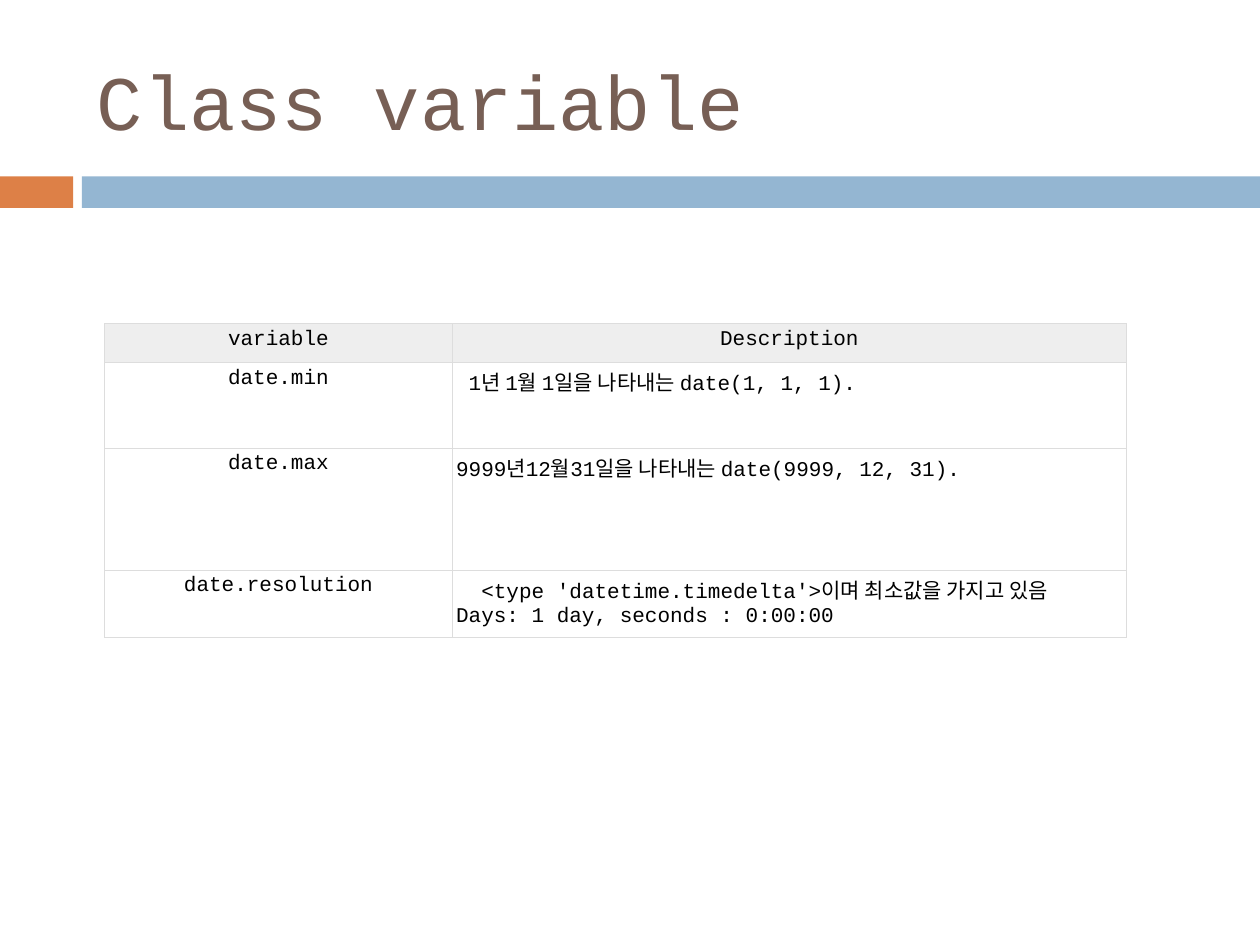
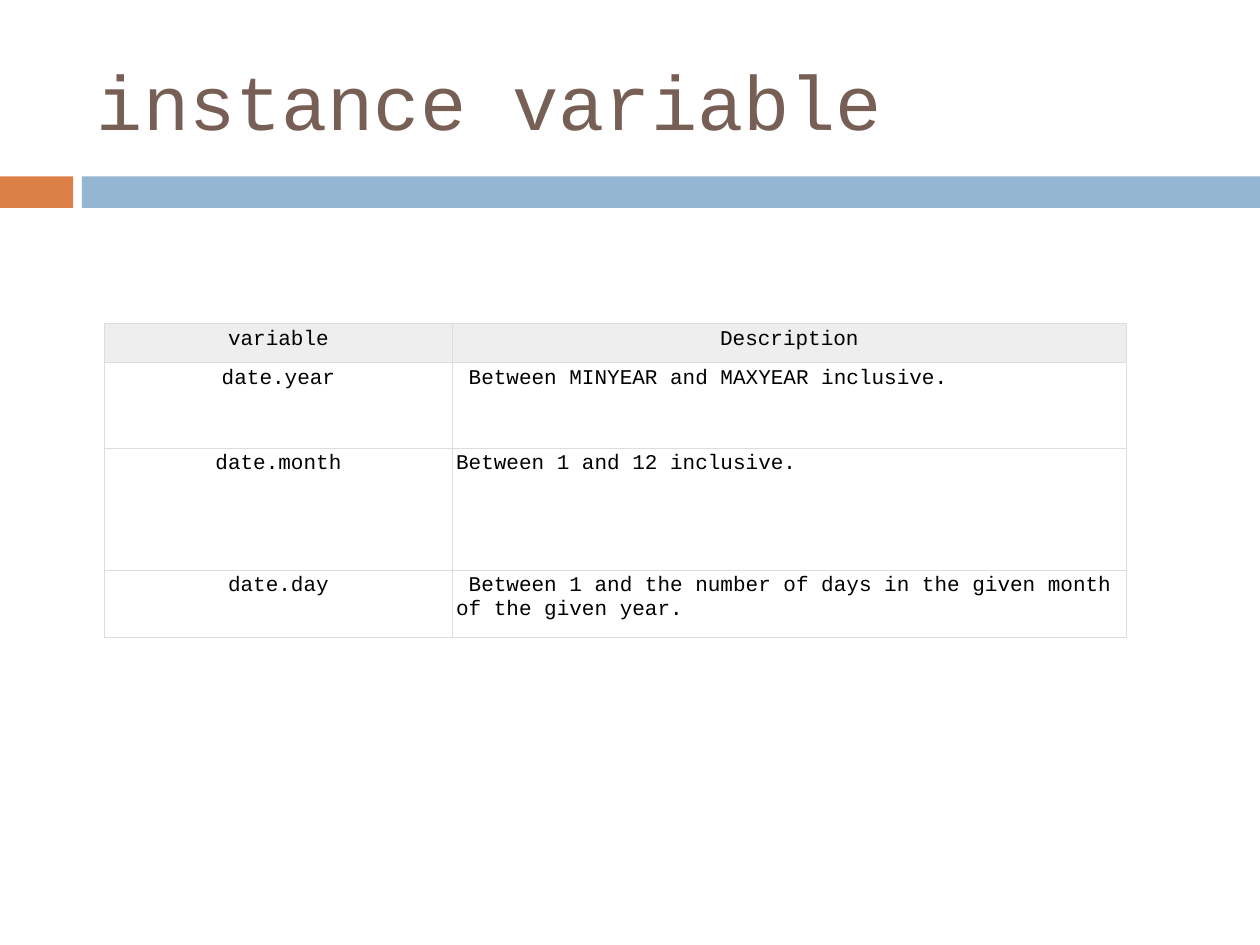
from dataclasses import dataclass

from lxml import etree
from pptx import Presentation
from pptx.dml.color import RGBColor
from pptx.enum import shapes, text
from pptx.oxml import ns
from pptx.util import Inches, Pt

FONT = "Courier New"
TITLE_COLOR, TEXT_COLOR = "775F55", "000000"
HEADER_FILL, GRID_COLOR = "EEEEEE", "DDDDDD"
COLUMN_WIDTHS = (2.76, 5.35)
ROW_HEIGHTS = (0.31, 0.68, 0.97, 0.53)
HEADER = ("variable", "Description")
CHAR_WIDTH = 0.1  # inches, one 12 pt monospaced character
CELL_FORMAT = {f"margin_{side}": Inches(0.03) for side in ("left", "right", "top", "bottom")}


@dataclass(frozen=True)
class Band:
    left: float
    width: float
    color: str


@dataclass(frozen=True)
class Variable:
    name: str
    lines: tuple[str, ...]
    indent_chars: int = 0


@dataclass(frozen=True)
class VariablePage:
    title: str
    variables: tuple[Variable, ...]


BANDS = (Band(0, 0.58, "DD8047"), Band(0.65, 9.35, "94B6D2"))
PAGES = (
    VariablePage("Class variable", (
        Variable("date.min", ("1년 1월 1일을 나타내는 date(1, 1, 1).",), 1),
        Variable("date.max", ("9999년12월31일을 나타내는 date(9999, 12, 31).",)),
        Variable("date.resolution", (
            "<type 'datetime.timedelta'>이며 최소값을 가지고 있음",
            "Days: 1 day, seconds : 0:00:00"), 2),
    )),
    VariablePage("instance variable", (
        Variable("date.year", ("Between MINYEAR and MAXYEAR inclusive.",), 1),
        Variable("date.month", ("Between 1 and 12 inclusive.",)),
        Variable("date.day", (
            "Between 1 and the number of days in the given month of the given year.",), 1),
    )),
)


def rgb(color: str) -> RGBColor:
    return RGBColor.from_string(color)


def apply_format(target, values: dict) -> None:
    for name, value in values.items():
        setattr(target, name, value)


def write_line(paragraph, line: str, size: float, color: str) -> None:
    run = paragraph.add_run()
    run.text = line
    apply_format(run.font, {"name": FONT, "size": Pt(size)})
    run.font.color.rgb = rgb(color)


def draw_band(slide, band: Band) -> None:
    bar = slide.shapes.add_shape(shapes.MSO_SHAPE.RECTANGLE, Inches(band.left),
                                 Inches(1.4), Inches(band.width), Inches(0.25))
    bar.shadow.inherit = False
    bar.fill.solid()
    bar.fill.fore_color.rgb = rgb(band.color)
    bar.line.fill.background()


def draw_title(slide, title: str) -> None:
    box = slide.shapes.add_textbox(Inches(0.67), Inches(0.25), Inches(8.92), Inches(1.08))
    apply_format(box.text_frame, {"word_wrap": True,
                                  "vertical_anchor": text.MSO_ANCHOR.MIDDLE})
    write_line(box.text_frame.paragraphs[0], title, 44, TITLE_COLOR)


def draw_borders(cell) -> None:
    properties = cell._tc.get_or_add_tcPr()
    for position, side in enumerate(("lnL", "lnR", "lnT", "lnB")):
        border = etree.Element(ns.qn(f"a:{side}"), w=str(Pt(0.6)))
        fill = etree.SubElement(border, ns.qn("a:solidFill"))
        etree.SubElement(fill, ns.qn("a:srgbClr"), val=GRID_COLOR)
        properties.insert(position, border)


def fill_cell(cell, lines: tuple[str, ...], centered: bool = False,
              header: bool = False, indent_chars: int = 0) -> None:
    """Write and style a cell; the indent applies to its first line only."""
    apply_format(cell, CELL_FORMAT)
    if header:
        cell.fill.solid()
        cell.fill.fore_color.rgb = rgb(HEADER_FILL)
    else:
        cell.fill.background()
    draw_borders(cell)
    frame = cell.text_frame
    for number, line in enumerate(lines):
        paragraph = frame.add_paragraph() if number else frame.paragraphs[0]
        paragraph.alignment = text.PP_ALIGN.CENTER if centered else text.PP_ALIGN.LEFT
        if indent_chars and number == 0:
            properties = paragraph._p.get_or_add_pPr()
            properties.set("marL", "0")
            properties.set("indent", str(Inches(indent_chars * CHAR_WIDTH)))
        write_line(paragraph, line, 12, TEXT_COLOR)


def draw_variables(slide, variables: tuple[Variable, ...]) -> None:
    table = slide.shapes.add_table(
        len(ROW_HEIGHTS), len(COLUMN_WIDTHS), Inches(0.83), Inches(2.57),
        Inches(sum(COLUMN_WIDTHS)), Inches(sum(ROW_HEIGHTS))).table
    apply_format(table, {"first_row": False, "horz_banding": False})
    for column, width in zip(table.columns, COLUMN_WIDTHS):
        column.width = Inches(width)
    for row, height in zip(table.rows, ROW_HEIGHTS):
        row.height = Inches(height)
    for column, heading in enumerate(HEADER):
        fill_cell(table.cell(0, column), (heading,), centered=True, header=True)
    for row, variable in enumerate(variables, start=1):
        fill_cell(table.cell(row, 0), (variable.name,), centered=True)
        fill_cell(table.cell(row, 1), variable.lines, indent_chars=variable.indent_chars)


def main() -> None:
    deck = Presentation()
    apply_format(deck, {"slide_width": Inches(10), "slide_height": Inches(7.5)})
    for page in PAGES:
        slide = deck.slides.add_slide(deck.slide_layouts[6])
        for band in BANDS:
            draw_band(slide, band)
        draw_title(slide, page.title)
        draw_variables(slide, page.variables)
    deck.save("out.pptx")


if __name__ == "__main__":
    main()
